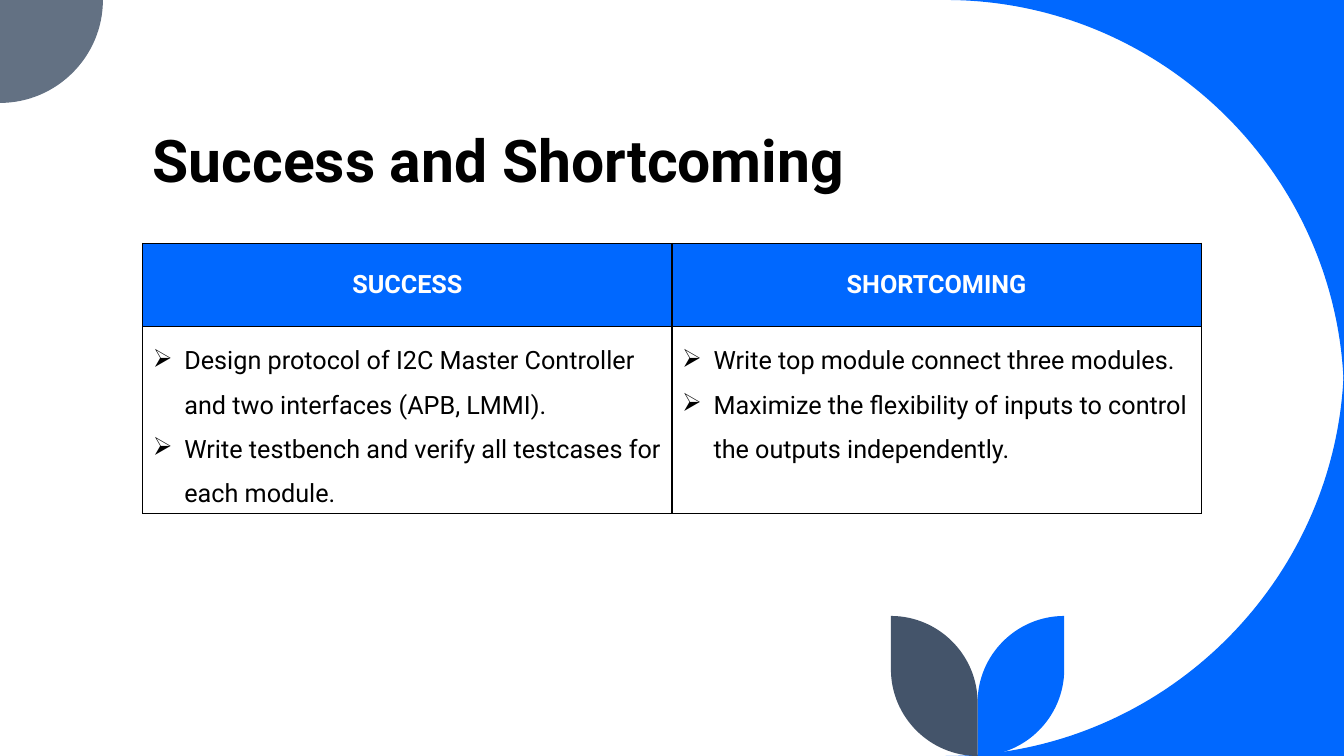
from dataclasses import dataclass

import lxml.etree
import pptx
import pptx.dml.color
import pptx.enum.text
import pptx.oxml.ns
import pptx.util

Pt = pptx.util.Pt
RGB = pptx.dml.color.RGBColor.from_string
Align = pptx.enum.text.PP_ALIGN
Anchor = pptx.enum.text.MSO_ANCHOR
qn = pptx.oxml.ns.qn


@dataclass(frozen=True)
class Theme:
    font: str = "Roboto"
    blue: str = "0068FF"
    grey: str = "637183"
    slate: str = "44546A"
    ink: str = "000000"
    white: str = "FFFFFF"
    title_size: int = 42
    table_size: int = 18


THEME = Theme()
WIDTH, HEIGHT = 960, 540
ROUND = 0.55  # Bezier handle length of a quarter circle

SUCCESS = [
    "Design protocol of I2C Master Controller and two interfaces (APB, LMMI).",
    "Write testbench and verify all testcases for each module.",
]
SHORTCOMING = [
    "Write top module connect three modules.",
    "Maximize the flexibility of inputs to control the outputs independently.",
]


def quarter(start, end, level_first):
    """Bezier step of a quarter circle that leaves start level or upright."""
    (x0, y0), (x1, y1) = start, end
    dx, dy = ROUND * (x1 - x0), ROUND * (y1 - y0)
    if level_first:
        return [(x0 + dx, y0), (x1, y1 - dy), end]
    return [(x0, y0 + dy), (x1 - dx, y1), end]


def add_outline(slide, start, steps, color):
    """Closed outline; a step holds one point for a line, three for a curve."""
    builder = slide.shapes.build_freeform(Pt(start[0]), Pt(start[1]), scale=1.0)
    builder.add_line_segments([(Pt(x), Pt(y)) for step in steps for x, y in step], close=True)
    outline = builder.convert_to_shape()
    lines = iter(list(outline._element.iter(qn("a:lnTo"))))
    for step in steps:
        parts = [next(lines) for _ in step]
        if len(step) == 3:
            curve = lxml.etree.Element(qn("a:cubicBezTo"))
            parts[0].addprevious(curve)
            for part in parts:
                curve.append(part[0])
                part.getparent().remove(part)
    outline.shadow.inherit = False
    outline.fill.solid()
    outline.fill.fore_color.rgb = RGB(color)
    outline.line.fill.background()


def add_run(paragraph, text, size, color, bold=False):
    run = paragraph.add_run()
    run.text = text
    run.font.name = THEME.font
    run.font.size = Pt(size)
    run.font.bold = bold
    run.font.color.rgb = RGB(color)


def add_side_curve(slide, left, top, width, height):
    """Blue corners around a large round edge."""
    right, bottom = left + width, top + height
    for edge, end in ((top, top + width), (bottom, bottom - width)):
        bend = quarter((left, edge), (right, end), True)
        add_outline(slide, (right, edge), [[(left, edge)], bend], THEME.blue)


def add_corner_quarter(slide, left, top, radius):
    tip, foot = (left + radius, top), (left, top + radius)
    add_outline(slide, (left, top), [[tip], quarter(tip, foot, False)], THEME.grey)


def add_leaves(slide, left, top, width, height):
    """Two mirrored leaves that meet on the centre line of the box."""
    leaf, stem = width / 2, left + width / 2
    bottom = top + height
    for side, color in ((1, THEME.blue), (-1, THEME.slate)):
        edge = stem + side * leaf
        tip, shoulder = (edge, top), (edge, bottom - leaf)
        foot, hollow = (stem, bottom), (stem, top + leaf)
        steps = [[shoulder], quarter(shoulder, foot, False),
                 [hollow], quarter(hollow, tip, False)]
        add_outline(slide, tip, steps, color)


def add_title(slide, left, top, width, height):
    heading = slide.shapes.add_textbox(Pt(left), Pt(top), Pt(width), Pt(height)).text_frame
    heading.word_wrap = True
    heading.vertical_anchor = Anchor.BOTTOM
    heading.paragraphs[0].line_spacing = 0.8
    add_run(heading.paragraphs[0], "Success and Shortcoming", THEME.title_size, THEME.ink, True)


def set_borders(cell, left=1, right=1, top=1, bottom=1):
    properties = cell._tc.get_or_add_tcPr()
    for side, weight in zip("LRTB", (left, right, top, bottom)):
        border = lxml.etree.SubElement(properties, qn(f"a:ln{side}"), w=str(Pt(weight)))
        ink = lxml.etree.SubElement(border, qn("a:solidFill"))
        lxml.etree.SubElement(ink, qn("a:srgbClr"), val=THEME.ink)


def fill_header(cell, label):
    cell.fill.solid()
    cell.fill.fore_color.rgb = RGB(THEME.blue)
    cell.vertical_anchor = Anchor.MIDDLE
    paragraph = cell.text_frame.paragraphs[0]
    paragraph.alignment = Align.CENTER
    add_run(paragraph, label, THEME.table_size, THEME.white, True)


def fill_points(cell, points):
    cell.fill.background()
    cell.margin_bottom = 0
    for index, point in enumerate(points):
        frame = cell.text_frame
        paragraph = frame.add_paragraph() if index else frame.paragraphs[0]
        properties = paragraph._p.get_or_add_pPr()
        properties.set("marL", str(Pt(22.5)))
        properties.set("indent", str(-Pt(22.5)))
        lxml.etree.SubElement(properties, qn("a:buChar"), char="➢")
        paragraph.line_spacing = 1.5
        add_run(paragraph, point, THEME.table_size, THEME.ink)


def add_comparison(slide, left, top, width, row_heights):
    columns = (("SUCCESS", SUCCESS), ("SHORTCOMING", SHORTCOMING))
    comparison = slide.shapes.add_table(
        2, len(columns), Pt(left), Pt(top), Pt(width), Pt(sum(row_heights))).table
    comparison.first_row = comparison.horz_banding = False
    for row, height in zip(comparison.rows, row_heights):
        row.height = Pt(height)
    for index, (label, points) in enumerate(columns):
        comparison.columns[index].width = Pt(width / len(columns))
        header, body = comparison.cell(0, index), comparison.cell(1, index)
        outer = 1 if index else 0.5
        set_borders(header, left=outer, top=outer)
        set_borders(body)
        fill_header(header, label)
        fill_points(body, points)


def main():
    deck = pptx.Presentation()
    deck.slide_width, deck.slide_height = Pt(WIDTH), Pt(HEIGHT)
    slide = deck.slides.add_slide(deck.slide_layouts[6])
    slide.background.fill.solid()
    slide.background.fill.fore_color.rgb = RGB(THEME.white)

    # Decoration
    add_side_curve(slide, 675.4, 0, 284.6, HEIGHT)
    add_corner_quarter(slide, 0, 0, 73.5)
    add_leaves(slide, 636.4, 440, 123.8, 100)

    # Content
    add_title(slide, 102, 75.6, 550, 66.2)
    add_comparison(slide, 102, 173.8, 756, (59.5, 107.3))
    deck.save("out.pptx")


if __name__ == "__main__":
    main()
